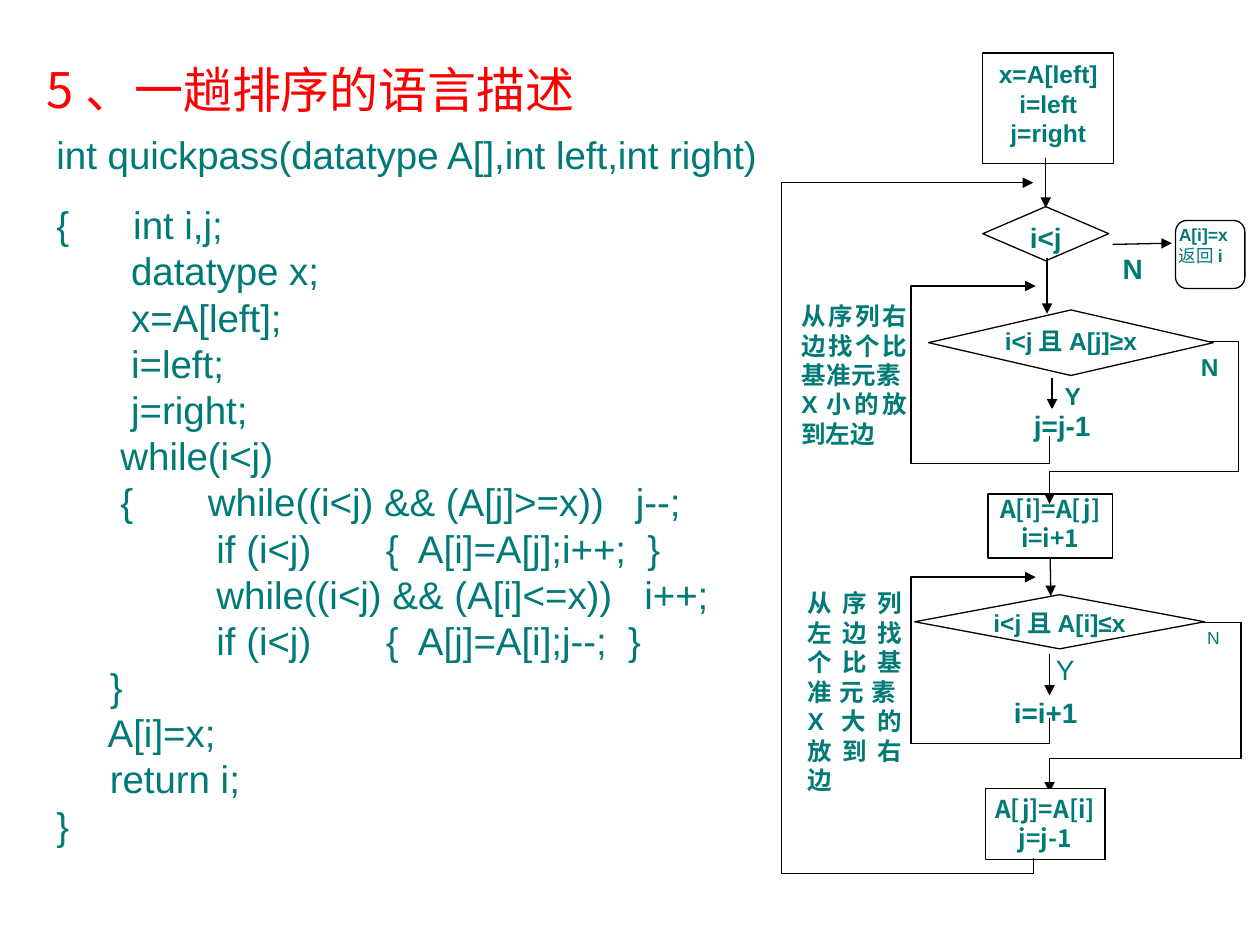
from dataclasses import dataclass
from typing import Any

from lxml import etree
from pptx import Presentation
from pptx.dml.color import RGBColor
from pptx.enum.shapes import MSO_CONNECTOR, MSO_SHAPE
from pptx.enum.text import MSO_ANCHOR, PP_ALIGN
from pptx.oxml.ns import qn
from pptx.util import Inches, Pt

RECT, DIAMOND = MSO_SHAPE.RECTANGLE, MSO_SHAPE.DIAMOND
ROUND = MSO_SHAPE.FLOWCHART_ALTERNATE_PROCESS
STRAIGHT = MSO_CONNECTOR.STRAIGHT
LEFT, MID, FULL = PP_ALIGN.LEFT, PP_ALIGN.CENTER, PP_ALIGN.JUSTIFY
TOP = MSO_ANCHOR.TOP
BOTTOM = 2


@dataclass(frozen=True)
class Theme:
    ink: RGBColor = RGBColor(0x00, 0x7A, 0x77)
    red: RGBColor = RGBColor(0xFF, 0x00, 0x00)
    white: RGBColor = RGBColor(0xFF, 0xFF, 0xFF)
    black: RGBColor = RGBColor(0x00, 0x00, 0x00)
    sans: str = "Arial"
    cjk: str = "Noto Sans CJK SC"
    title: float = 28
    code: float = 22
    large: float = 16
    body: float = 14
    small: float = 10
    rule: float = 0.75
    lead: float = 1.2


THEME = Theme()
Area = tuple[float, float, float, float]
Point = tuple[float, float]
PAD: Area = (0.1, 0.05, 0.1, 0.05)
NONE: Area = (0, 0, 0, 0)
NOTE: Area = (0.08, 0, 0, 0)


@dataclass(frozen=True)
class Run:
    text: str
    bold: bool


@dataclass(frozen=True)
class Box:
    area: Area
    lines: tuple
    kind: Any = RECT
    edge: bool = True
    size: float = THEME.body
    font: str = THEME.sans
    bold: bool = True
    align: Any = MID
    pad: Area = NONE


@dataclass(frozen=True)
class Arrow:
    start: Point
    end: Point
    source: Box | None = None


@dataclass(frozen=True)
class Route:
    points: tuple[Point, ...]


def label(area: Area, text: str, **style: Any) -> Box:
    return Box(area, (text,), edge=False, **style)


def write(frame: Any, lines: tuple, *, size: float, font: str = THEME.sans,
          color: RGBColor = THEME.ink, bold: bool = False, align: Any = LEFT,
          pad: Area = PAD, gap: float = 0) -> None:
    frame.word_wrap = True
    frame.vertical_anchor = TOP
    (frame.margin_left, frame.margin_top,
     frame.margin_right, frame.margin_bottom) = map(Inches, pad)
    for index, line in enumerate(lines):
        para = frame.add_paragraph() if index else frame.paragraphs[0]
        para.alignment = align
        para.line_spacing = Pt(size * THEME.lead)
        para.space_before = Pt(gap if index else 0)
        parts = (Run(line, bold),) if isinstance(line, str) else line
        for part in parts:
            for row, text in enumerate(part.text.split("\n")):
                if row:
                    para.add_line_break()
                run = para.add_run()
                run.text = text
                run.font.size = Pt(size)
                run.font.name = font
                run.font.bold = part.bold
                run.font.color.rgb = color
                east = etree.SubElement(run.font._element, qn("a:ea"))
                east.set("typeface", THEME.cjk)


def stroke(line: Any) -> None:
    line.color.rgb = THEME.black
    line.width = Pt(THEME.rule)


def point(line: Any) -> None:
    stroke(line)
    tail = etree.SubElement(line._get_or_add_ln(), qn("a:tailEnd"))
    tail.set("type", "triangle")


def draw_box(slide: Any, box: Box) -> Any:
    shape = slide.shapes.add_shape(box.kind, *map(Inches, box.area))
    shape.shadow.inherit = False
    shape.fill.solid()
    shape.fill.fore_color.rgb = THEME.white
    if box.edge:
        stroke(shape.line)
    else:
        shape.line.fill.background()
    write(shape.text_frame, box.lines, size=box.size, font=box.font,
          bold=box.bold, align=box.align, pad=box.pad)
    return shape


def draw_arrow(slide: Any, arrow: Arrow, source: Any) -> None:
    ends = map(Inches, arrow.start + arrow.end)
    line = slide.shapes.add_connector(STRAIGHT, *ends)
    if source is not None:
        line.begin_connect(source, BOTTOM)
    point(line.line)
    etree.SubElement(line._element.spPr, qn("a:effectLst"))


def draw_route(slide: Any, route: Route) -> None:
    first, *rest = [(Inches(x), Inches(y)) for x, y in route.points]
    pen = slide.shapes.build_freeform(*first)
    pen.add_line_segments(rest, close=False)
    shape = pen.convert_to_shape()
    shape.shadow.inherit = False
    shape.fill.background()
    point(shape.line)


def draw_text(slide: Any, area: Area, lines: tuple, **style: Any) -> None:
    box = slide.shapes.add_textbox(*map(Inches, area))
    write(box.text_frame, lines, **style)


CODE = """{      int i,j;
       datatype x;
       x=A[left];
       i=left;
       j=right;
      while(i<j)
      {       while((i<j) && (A[j]>=x))   j--;
               if (i<j)       {  A[i]=A[j];i++;  }
               while((i<j) && (A[i]<=x))   i++;
               if (i<j)       {  A[j]=A[i];j--;  }
     }
     A[i]=x;
     return i;
}"""

SWAP = Box((7.84, 3.92, 0.99, 0.51), ("A[i]=A[j]", "i=i+1"), font=THEME.cjk)

CHART = (
    Route(((9.22, 4.94), (9.85, 4.94), (9.85, 6.02), (8.33, 6.02), (8.33, 6.29))),
    Box((7.8, 0.42, 1.04, 0.88), ("x=A[left]", "i=left", "j=right"), pad=PAD),
    Box((7.8, 1.64, 1, 0.43), ("i<j",), DIAMOND, size=THEME.large),
    Box((7.26, 4.72, 2.3, 0.43), ("i<j且A[i]≤x",), DIAMOND),
    Arrow((8.83, 1.94), (9.3, 1.93)),
    Box((9.33, 1.75, 0.55, 0.54), ("A[i]=x", (Run("返回", False), Run("i", True))),
        ROUND, size=THEME.small, align=FULL),
    label((8.91, 2, 0.25, 0.22), "N", size=THEME.large, align=FULL),
    Arrow((8.31, 2.05), (8.31, 2.49)),
    Arrow((8.35, 3), (8.35, 3.25)),
    label((8.08, 3.24, 0.7, 0.25), "j=j-1", size=THEME.large),
    Route(((8.33, 3.46), (8.33, 3.68), (7.23, 3.68), (7.23, 2.27), (8.22, 2.27))),
    label((6.28, 2.39, 0.92, 1.24), "从序列右边找个比基准元素X小的放到左边",
          align=FULL, pad=NOTE),
    SWAP,
    Route(((9.2, 2.71), (9.83, 2.71), (9.83, 3.74), (8.33, 3.74), (8.33, 4))),
    label((9.53, 2.79, 0.19, 0.22), "N", align=FULL),
    label((8.45, 3.02, 0.25, 0.22), "Y", align=FULL),
    Arrow((8.34, 4.44), (8.34, 4.73), SWAP),
    label((6.33, 4.67, 0.83, 1.42), "从序列左边找个比基准元素X大的放到右边",
          align=FULL, pad=NOTE),
    label((7.95, 5.52, 0.7, 0.25), "i=i+1", size=THEME.large),
    Arrow((8.33, 5.19), (8.33, 5.52)),
    label((8.38, 5.18, 0.25, 0.22), "Y", size=THEME.large, bold=False, align=FULL),
    Box((7.82, 6.26, 0.95, 0.56), ("A[j]=A[i]", "j=j-1"), font=THEME.cjk,
        pad=(0, 0.04, 0, 0.04)),
    label((9.58, 4.98, 0.19, 0.22), "N", size=THEME.small, bold=False, align=FULL),
    Route(((8.33, 5.7), (8.33, 5.9), (7.23, 5.9), (7.23, 4.58), (8.22, 4.58))),
    Route(((8.2, 6.81), (8.2, 6.93), (6.2, 6.93), (6.2, 1.45), (8.2, 1.45))),
    Arrow((8.3, 1.25), (8.3, 1.65)),
    Box((7.37, 2.46, 2.26, 0.52), ("i<j且A[j]≥x",), DIAMOND),
)


def main() -> None:
    deck = Presentation()
    deck.slide_width, deck.slide_height = Inches(10), Inches(7.5)
    slide = deck.slides.add_slide(deck.slide_layouts[6])
    draw_text(slide, (0.27, 0.42, 5.8, 0.57), ("5、一趟排序的语言描述",),
              size=THEME.title, font=THEME.cjk, color=THEME.red)
    draw_text(slide, (0.35, 0.99, 6, 5.79),
              ("int quickpass(datatype A[],int left,int right)", CODE),
              size=THEME.code, gap=13.8)
    drawn = {}
    for item in CHART:
        if isinstance(item, Box):
            drawn[item] = draw_box(slide, item)
        elif isinstance(item, Arrow):
            draw_arrow(slide, item, drawn.get(item.source))
        else:
            draw_route(slide, item)
    deck.save("out.pptx")


if __name__ == "__main__":
    main()
